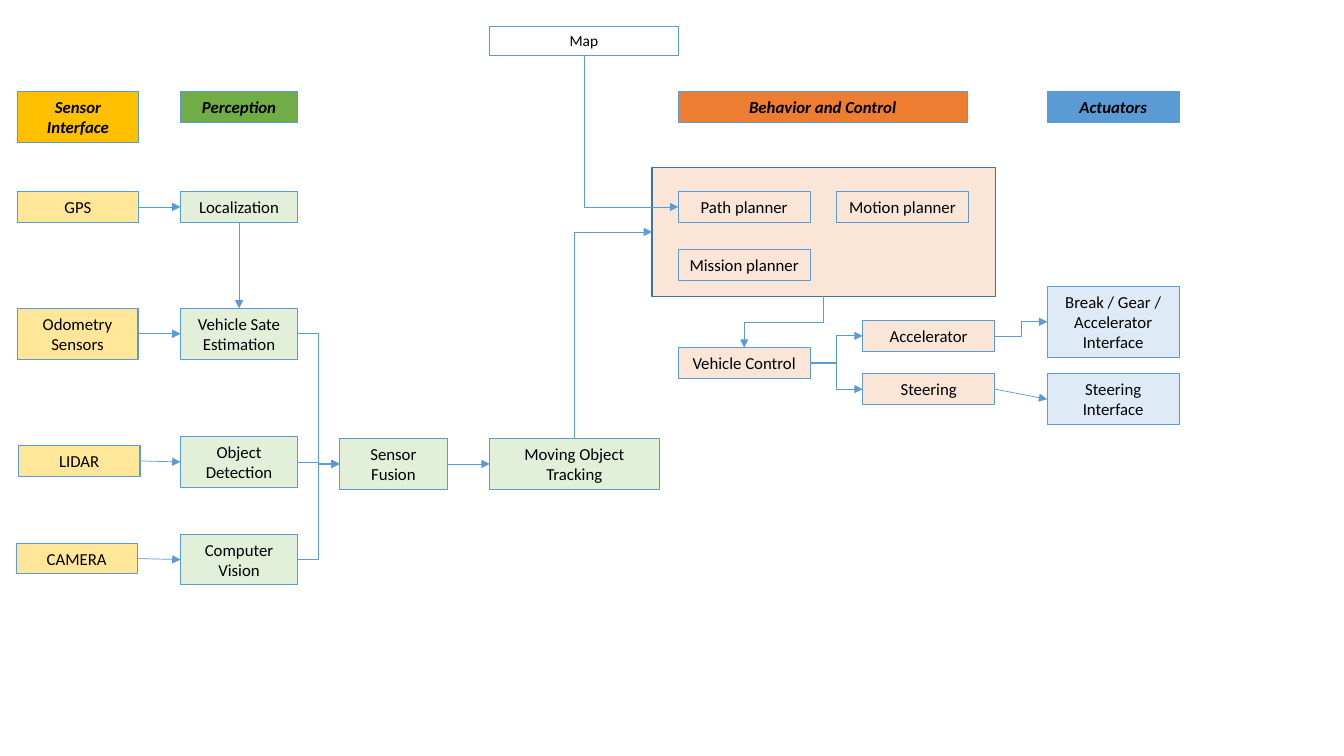
from lxml import etree
from pptx import Presentation
from pptx import util as u
from pptx.dml import color
from pptx.enum import shapes, text
from pptx.oxml import ns


def rgb(code):
    return color.RGBColor.from_string(code)


def box(label, left, top, width, height, fill=None, edge="5B9BD5", weight=0.75, size=12, heading=False):
    node = slide.shapes.add_shape(
        shapes.MSO_SHAPE.RECTANGLE, u.Cm(left), u.Cm(top), u.Cm(width), u.Cm(height))
    node.shadow.inherit = False
    if fill:
        node.fill.solid()
        node.fill.fore_color.rgb = rgb(fill)
    else:
        node.fill.background()
    node.line.color.rgb = rgb(edge)
    node.line.width = u.Pt(weight)
    if label:
        frame = node.text_frame
        frame.text = label
        frame.word_wrap = True
        frame.auto_size = text.MSO_AUTO_SIZE.SHAPE_TO_FIT_TEXT
        for line in frame.paragraphs:
            line.alignment = text.PP_ALIGN.CENTER
            line.font.name = "Calibri"
            line.font.size = u.Pt(size)
            line.font.bold = line.font.italic = heading
            line.font.color.rgb = rgb("000000")
    return node


deck = Presentation()
deck.slide_width, deck.slide_height = u.Cm(33.87), u.Cm(19.05)
slide = deck.slides.add_slide(deck.slide_layouts[6])

one_line, two_lines, three_lines = 0.77, 1.28, 1.8
sensor_x, perception_x, control_x, actuator_x = 0.43, 4.55, 17.09, 26.39
sensor_w, perception_w, control_w = 3.07, 2.95, 3.33
sensor_fill, perception_fill, control_fill, actuator_fill = "FFE699", "E2F0D9", "FBE5D6", "DEEBF7"
heading_y, planner_y = 2.31, 4.83

planning = box("", 16.43, 4.22, 8.66, 3.25, control_fill, edge="43739E", weight=1)

headings = [
    ("Sensor Interface", sensor_x, sensor_w, two_lines, "FFC000"),
    ("Perception", perception_x, perception_w, one_line, "70AD47"),
    ("Behavior and Control", control_x, 7.29, one_line, "ED7D31"),
    ("Actuators", actuator_x, control_w, one_line, "5B9BD5"),
]
for label, left, width, height, fill in headings:
    box(label, left, heading_y, width, height, fill, heading=True)

stages = [
    ("GPS", sensor_x, planner_y, sensor_w, one_line, sensor_fill),
    ("Odometry\nSensors", sensor_x, 7.77, 3.05, two_lines, sensor_fill),
    ("LIDAR", 0.46, 11.23, sensor_w, one_line, sensor_fill),
    ("CAMERA", 0.41, 13.69, 3.05, one_line, sensor_fill),
    ("Localization", perception_x, planner_y, perception_w, one_line, perception_fill),
    ("Vehicle Sate Estimation", perception_x, 7.77, perception_w, two_lines, perception_fill),
    ("Object Detection", perception_x, 11, perception_w, two_lines, perception_fill),
    ("Computer Vision", perception_x, 13.46, perception_w, two_lines, perception_fill),
    ("Sensor Fusion", 8.56, 11.05, 2.71, two_lines, perception_fill),
    ("Moving Object Tracking", 12.34, 11.05, 4.27, two_lines, perception_fill),
    ("Path planner", control_x, planner_y, control_w, one_line, None),
    ("Mission planner", control_x, 6.3, control_w, one_line, None),
    ("Motion planner", 21.08, planner_y, control_w, one_line, None),
    ("Vehicle Control", control_x, 8.76, control_w, one_line, control_fill),
    ("Accelerator", 21.74, 8.08, control_w, one_line, control_fill),
    ("Steering", 21.74, 9.42, control_w, one_line, control_fill),
    ("Break / Gear / Accelerator Interface", actuator_x, 7.21, control_w, three_lines, actuator_fill),
    ("Steering Interface", actuator_x, 9.42, control_w, two_lines, actuator_fill),
]
nodes = {label: box(label, *place) for label, *place in stages}
nodes["Planning"] = planning
nodes["Map"] = box("Map", 12.34, 0.66, 4.75, 0.73, size=11)

TOP, LEFT, BOTTOM, RIGHT = range(4)
straight, elbow = shapes.MSO_CONNECTOR.STRAIGHT, shapes.MSO_CONNECTOR.ELBOW
flows = [
    ("GPS", RIGHT, "Localization", LEFT, straight, None),
    ("Odometry\nSensors", RIGHT, "Vehicle Sate Estimation", LEFT, straight, None),
    ("LIDAR", RIGHT, "Object Detection", LEFT, straight, None),
    ("CAMERA", RIGHT, "Computer Vision", LEFT, straight, None),
    ("Localization", BOTTOM, "Vehicle Sate Estimation", TOP, straight, None),
    ("Vehicle Sate Estimation", RIGHT, "Sensor Fusion", LEFT, elbow, None),
    ("Object Detection", RIGHT, "Sensor Fusion", LEFT, elbow, None),
    ("Computer Vision", RIGHT, "Sensor Fusion", LEFT, elbow, None),
    ("Sensor Fusion", RIGHT, "Moving Object Tracking", LEFT, straight, None),
    ("Map", BOTTOM, "Path planner", LEFT, elbow, ("bentConnector2", 270, "1", "0")),
    ("Moving Object Tracking", TOP, "Planning", LEFT, elbow, ("bentConnector2", 90, "1", "1")),
    ("Planning", BOTTOM, "Vehicle Control", TOP, elbow, ("bentConnector3", 90, "0", "0")),
    ("Vehicle Control", RIGHT, "Accelerator", LEFT, elbow, None),
    ("Vehicle Control", RIGHT, "Steering", LEFT, elbow, None),
    ("Accelerator", RIGHT, "Break / Gear / Accelerator Interface", LEFT, elbow, None),
    ("Steering", RIGHT, "Steering Interface", LEFT, straight, None),
]
for source, exit_side, target, entry_side, kind, turn in flows:
    arrow = slide.shapes.add_connector(kind, 0, 0, 0, 0)
    arrow.begin_connect(nodes[source], exit_side)
    arrow.end_connect(nodes[target], entry_side)
    arrow.line.color.rgb = rgb("5B9BD5")
    arrow.line.width = u.Pt(0.5)
    properties = arrow._element.spPr
    etree.SubElement(arrow.line._get_or_add_ln(), ns.qn("a:tailEnd"), type="triangle")
    etree.SubElement(properties, ns.qn("a:effectLst"))
    if turn:
        preset, angle, flip_h, flip_v = turn
        across, down = arrow.width, arrow.height
        arrow.left += (across - down) // 2
        arrow.top += (down - across) // 2
        arrow.width, arrow.height = down, across
        frame = properties.find(ns.qn("a:xfrm"))
        frame.set("rot", str(angle * 60000))
        frame.set("flipH", flip_h)
        frame.set("flipV", flip_v)
        properties.find(ns.qn("a:prstGeom")).set("prst", preset)

deck.save("out.pptx")
